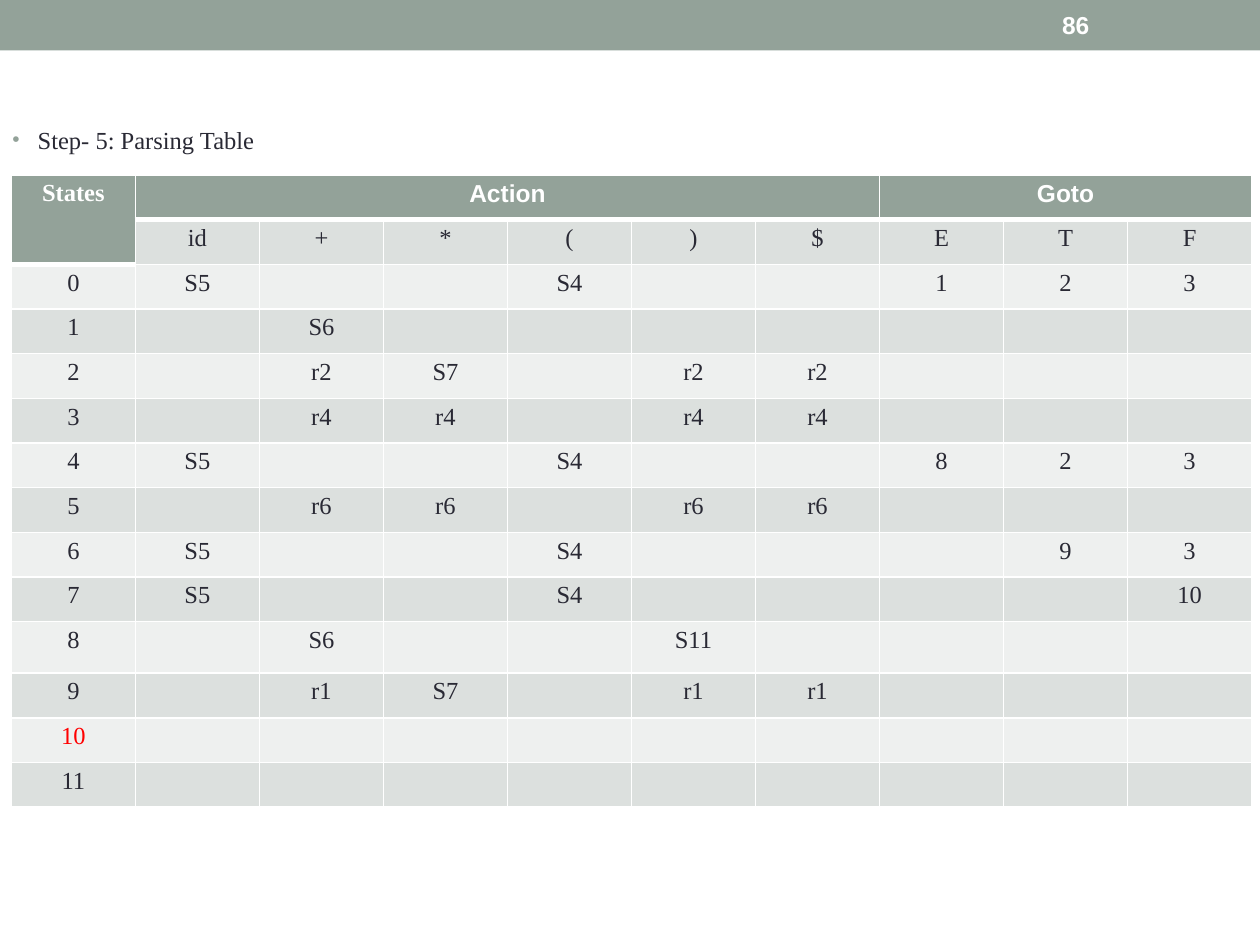
from lxml.etree import SubElement
from pptx import Presentation
from pptx.dml.color import RGBColor
from pptx.enum.shapes import MSO_SHAPE
from pptx.enum.text import MSO_ANCHOR, PP_ALIGN
from pptx.oxml.ns import qn
from pptx.util import Cm, Pt

SAGE, WHITE, INK, RED = "93A299", "FFFFFF", "292934", "FF0000"
BANDS = ("DCE0DE", "EEF0EF")
SERIF, SANS = "Times New Roman", "Arial"
TEXT_SIZE = 14

SYMBOLS = ["id", "+", "*", "(", ")", "$", "E", "T", "F"]
# Filled entries of each state, keyed by grammar symbol
STATES = [
    {"id": "S5", "(": "S4", "E": "1", "T": "2", "F": "3"},
    {"+": "S6"},
    {"+": "r2", "*": "S7", ")": "r2", "$": "r2"},
    {"+": "r4", "*": "r4", ")": "r4", "$": "r4"},
    {"id": "S5", "(": "S4", "E": "8", "T": "2", "F": "3"},
    {"+": "r6", "*": "r6", ")": "r6", "$": "r6"},
    {"id": "S5", "(": "S4", "T": "9", "F": "3"},
    {"id": "S5", "(": "S4", "F": "10"},
    {"+": "S6", ")": "S11"},
    {"+": "r1", "*": "S7", ")": "r1", "$": "r1"},
    {},
    {},
]
HIGHLIGHTED_STATE = "10"
TALL_ROW = 10


def color(value):
    return RGBColor.from_string(value)


def paint(fill, value):
    fill.solid()
    fill.fore_color.rgb = color(value)


def write(paragraph, text, font_color, name=SERIF, bold=False):
    run = paragraph.add_run()
    run.text = text
    formats = {"name": name, "size": Pt(TEXT_SIZE), "bold": bold}
    for attribute, value in formats.items():
        setattr(run.font, attribute, value)
    run.font.color.rgb = color(font_color)


def add_text_box(slide, left, top, width, height, anchor=MSO_ANCHOR.TOP):
    shape = slide.shapes.add_textbox(Cm(left), Cm(top), Cm(width), Cm(height))
    shape.text_frame.word_wrap = True
    shape.text_frame.vertical_anchor = anchor
    return shape.text_frame.paragraphs[0]


def add_bullet(paragraph):
    properties = paragraph._p.get_or_add_pPr()
    properties.set("marL", str(Cm(0.51)))
    properties.set("indent", str(-Cm(0.51)))
    bullet_color = SubElement(properties, qn("a:buClr"))
    SubElement(bullet_color, qn("a:srgbClr"), val=SAGE)
    SubElement(properties, qn("a:buSzPct"), val="85000")
    SubElement(properties, qn("a:buFont"), typeface=SANS)
    SubElement(properties, qn("a:buChar"), char="•")


def set_borders(cell, top, bottom):
    properties = cell._tc.get_or_add_tcPr()
    widths = {"a:lnL": 1, "a:lnR": 1, "a:lnT": top, "a:lnB": bottom}
    for tag, width in widths.items():
        line = SubElement(properties, qn(tag), w=str(Pt(width)))
        fill = SubElement(line, qn("a:solidFill"))
        SubElement(fill, qn("a:srgbClr"), val=WHITE)


def fill_cell(cell, text, fill, font_color=INK, name=SERIF, bold=False, top=1, bottom=1):
    margins = {"margin_left": 0.18, "margin_right": 0.18,
               "margin_top": 0.1, "margin_bottom": 0.1}
    for attribute, value in margins.items():
        setattr(cell, attribute, Cm(value))
    set_borders(cell, top, bottom)
    paint(cell.fill, fill)
    paragraph = cell.text_frame.paragraphs[0]
    paragraph.alignment = PP_ALIGN.CENTER
    if text:
        write(paragraph, text, font_color, name, bold)
    else:
        # Keeps an empty cell from growing its row
        SubElement(paragraph._p, qn("a:endParaRPr"), sz=str(TEXT_SIZE * 100))


def add_parsing_table(slide):
    row_count, column_count = len(STATES) + 2, len(SYMBOLS) + 1
    table = slide.shapes.add_table(row_count, column_count, Cm(0.23), Cm(3.53),
                                   Cm(25), Cm(12.74)).table
    for column in table.columns:
        column.width = Cm(2.5)
    for index, row in enumerate(table.rows):
        row.height = Cm(1.04 if index == TALL_ROW else 0.9)

    # Header groups
    titles = {0: ("States", SERIF), 1: ("Action", SANS), 7: ("Goto", SANS)}
    for column in range(column_count):
        text, name = titles.get(column, ("", SANS))
        fill_cell(table.cell(0, column), text, SAGE, WHITE, name, bold=True, bottom=3)
    fill_cell(table.cell(1, 0), "", SAGE, bottom=3)
    for first, last in (((0, 0), (1, 0)), ((0, 1), (0, 6)), ((0, 7), (0, 9))):
        table.cell(*first).merge(table.cell(*last))

    # Grammar symbols
    for column, symbol in enumerate(SYMBOLS, start=1):
        fill_cell(table.cell(1, column), symbol, BANDS[0], top=3)

    # States
    for state, entries in enumerate(STATES):
        values = [str(state)] + [entries.get(symbol, "") for symbol in SYMBOLS]
        for column, text in enumerate(values):
            highlighted = column == 0 and text == HIGHLIGHTED_STATE
            fill_cell(table.cell(state + 2, column), text, BANDS[(state + 1) % 2],
                      RED if highlighted else INK,
                      top=3 if state == 0 and column == 0 else 1)


def add_banner(slide, width):
    banner = slide.shapes.add_shape(MSO_SHAPE.RECTANGLE, 0, 0, width, Cm(1.02))
    banner.shadow.inherit = False
    paint(banner.fill, SAGE)
    banner.line.fill.background()


def main():
    presentation = Presentation()
    presentation.slide_width, presentation.slide_height = Cm(25.4), Cm(19.05)
    slide = presentation.slides.add_slide(presentation.slide_layouts[6])

    # Banner with page number
    add_banner(slide, presentation.slide_width)
    number = add_text_box(slide, 21.16, 0.05, 2.97, 0.91, MSO_ANCHOR.MIDDLE)
    write(number, "86", WHITE, SANS, bold=True)

    # Step heading
    heading = add_text_box(slide, 0, 2.39, 5.64, 1.07)
    add_bullet(heading)
    write(heading, "Step- 5: Parsing Table", INK)

    add_parsing_table(slide)
    presentation.save("out.pptx")


if __name__ == "__main__":
    main()
